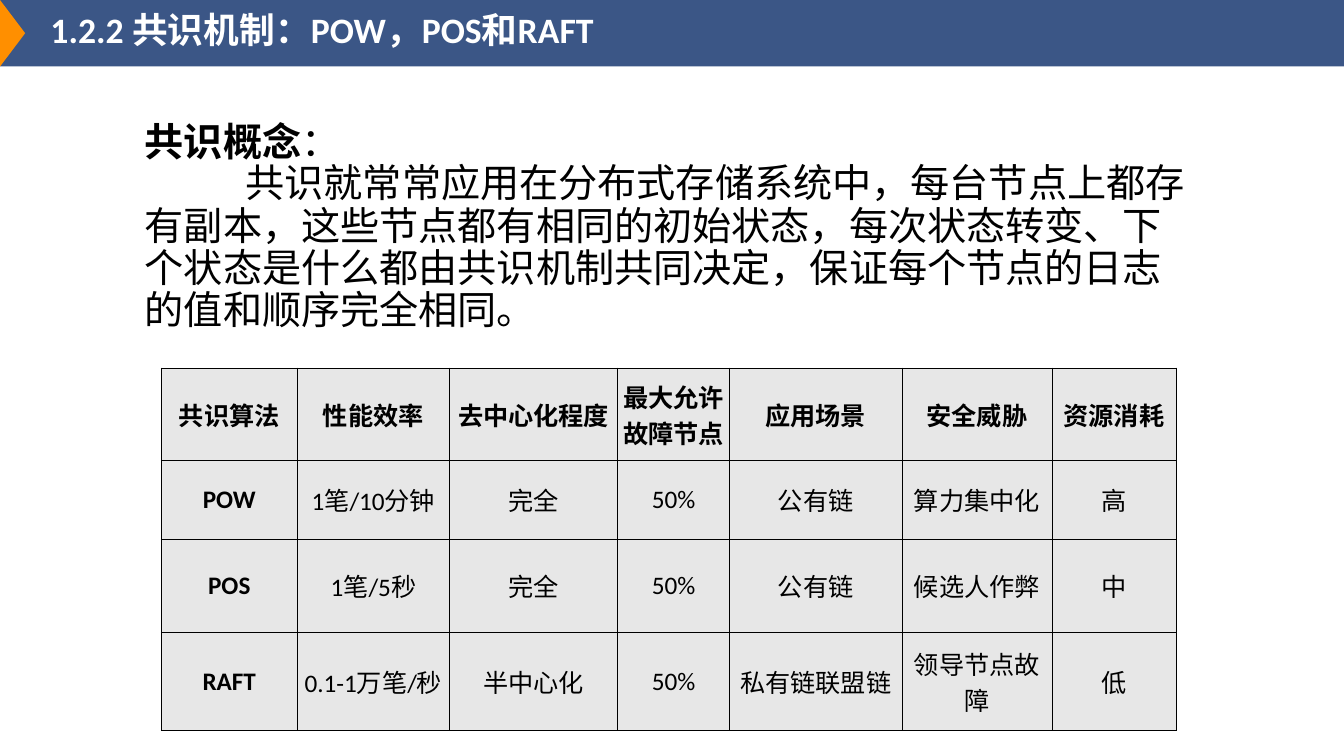
from lxml.etree import SubElement
from pptx import Presentation
from pptx.dml.color import RGBColor
from pptx.enum.shapes import MSO_SHAPE as Preset
from pptx.enum.text import MSO_ANCHOR as Anchor, MSO_AUTO_SIZE as AutoSize, PP_ALIGN as Align
from pptx.oxml.ns import qn
from pptx.util import Inches, Pt

WIDTH, HEIGHT = Inches(13.34), Inches(7.5)
NAVY, ORANGE, GREY, BLACK, WHITE = "3B5686", "FF8F00", "E7E7E7", "000000", "FFFFFF"

CONCEPT = (
    "共识就常常应用在分布式存储系统中，每台节点上都存有副本，"
    "这些节点都有相同的初始状态，每次状态转变、下个状态是什么都由共识机制共同决定，"
    "保证每个节点的日志的值和顺序完全相同。"
)
COLUMN_SHARES = [1.35, 1.51, 1.67, 1.11, 1.71, 1.49, 1.23]
ROW_SHARES = [0.92, 0.78, 0.92, 0.98]
ALGORITHMS = [
    ["共识算法", "性能效率", "去中心化程度", "最大允许故障节点", "应用场景", "安全威胁", "资源消耗"],
    ["POW", "1笔/10分钟", "完全", "50%", "公有链", "算力集中化", "高"],
    ["POS", "1笔/5秒", "完全", "50%", "公有链", "候选人作弊", "中"],
    ["RAFT", "0.1-1万笔/秒", "半中心化", "50%", "私有链联盟链", "领导节点故障", "低"],
]


def color(value):
    return RGBColor.from_string(value)


def area(left, top, width, height):
    """Turn percentages of the slide's size into lengths."""
    return [round(share * side / 100)
            for share, side in zip((left, top, width, height), (WIDTH, HEIGHT) * 2)]


def set_font(font, name, size, fill, bold=False):
    font.name, font.size, font.bold = name, Pt(size), bold
    font.color.rgb = color(fill)


def add_block(page, preset, place, fill, rotation=0):
    block = page.shapes.add_shape(preset, *area(*place))
    block.rotation = rotation
    block.shadow.inherit = False
    block.fill.solid()
    block.fill.fore_color.rgb = color(fill)
    block.line.fill.background()


def set_title(page, text, place):
    title = page.shapes.title
    title.left, title.top, title.width, title.height = area(*place)
    frame = title.text_frame
    frame.text = text
    frame.auto_size = AutoSize.NONE
    frame.vertical_anchor = Anchor.MIDDLE
    para = frame.paragraphs[0]
    para.alignment = Align.LEFT
    para.line_spacing = 0.8
    set_font(para.font, "Calibri", 25.5, WHITE, bold=True)
    # The title must lie in front of the header bar.
    title.element.getparent().append(title.element)


def add_concept(page, heading, text, place):
    frame = page.shapes.add_textbox(*area(*place)).text_frame
    frame.word_wrap = True
    head, body = frame.paragraphs[0], frame.add_paragraph()
    for para, spacing in ((head, 1.9), (body, 0.9)):
        para.line_spacing = spacing
        set_font(para.font, "Arial", 28, BLACK)
    span = head.add_run()
    span.text = heading
    span.font.bold = True
    head.add_run().text = "："
    body.add_run().text = text
    body._p.get_or_add_pPr().set("indent", str(Inches(1)))


def add_borders(cell, fill, points):
    properties = cell._tc.get_or_add_tcPr()
    for side in ("lnL", "lnR", "lnT", "lnB"):
        line = SubElement(properties, qn(f"a:{side}"), w=str(Pt(points)))
        SubElement(SubElement(line, qn("a:solidFill")), qn("a:srgbClr"), val=fill)


def fill_cell(cell, text, bold):
    add_borders(cell, BLACK, 0.45)
    cell.fill.solid()
    cell.fill.fore_color.rgb = color(GREY)
    cell.margin_left = cell.margin_right = Inches(0.01)
    cell.vertical_anchor = Anchor.MIDDLE
    cell.text = text
    para = cell.text_frame.paragraphs[0]
    para.alignment = Align.CENTER
    set_font(para.font, "Calibri", 18, BLACK, bold)


def share_out(tracks, total, shares):
    """Divide a length among table columns (width) or rows (height)."""
    return [(track, round(total * share / sum(shares))) for track, share in zip(tracks, shares)]


def add_comparison(page, rows, place):
    left, top, width, height = area(*place)
    table = page.shapes.add_table(len(rows), len(rows[0]), left, top, width, height).table
    table.first_row = table.horz_banding = False
    for column, length in share_out(table.columns, width, COLUMN_SHARES):
        column.width = length
    for row, length in share_out(table.rows, height, ROW_SHARES):
        row.height = length
    for i, texts in enumerate(rows):
        for j, text in enumerate(texts):
            fill_cell(table.cell(i, j), text, bold=i == 0 or j == 0)


def main():
    deck = Presentation()
    deck.slide_width, deck.slide_height = WIDTH, HEIGHT
    page = deck.slides.add_slide(deck.slide_layouts[5])
    add_block(page, Preset.RECTANGLE, (0, 0, 100, 8.8), NAVY)
    add_block(page, Preset.ISOSCELES_TRIANGLE, (-1.54, 2.73, 4.95, 3.33), ORANGE, rotation=90)
    set_title(page, "1.2.2 共识机制：POW，POS和RAFT", (3, 0, 52, 8.8))
    add_concept(page, "共识概念", CONCEPT, (10.04, 9.2, 79.6, 38))
    add_comparison(page, ALGORITHMS, (12, 48.67, 75.5, 48))
    deck.save("out.pptx")


if __name__ == "__main__":
    main()
